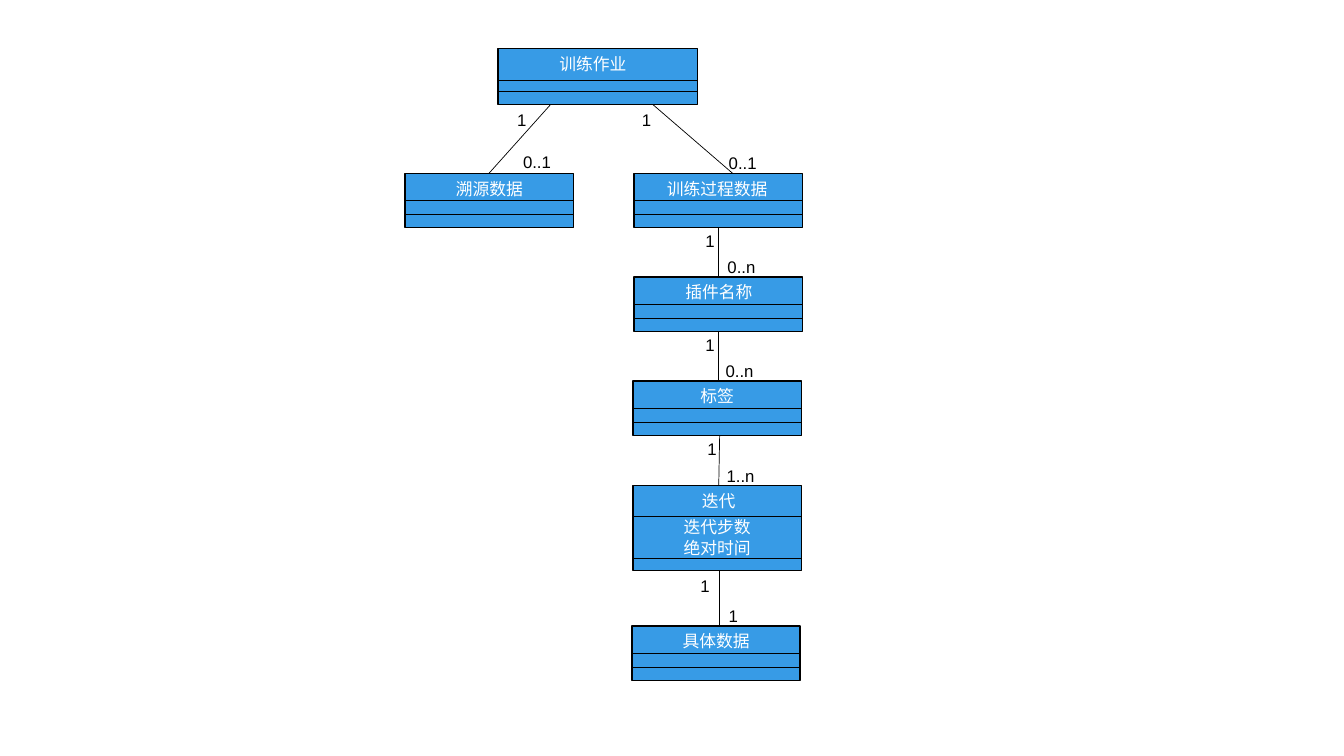
from pptx import Presentation
from pptx.dml.color import RGBColor
from pptx.enum.shapes import MSO_CONNECTOR, MSO_SHAPE
from pptx.enum.text import MSO_AUTO_SIZE, PP_ALIGN
from pptx.oxml.ns import qn
from pptx.util import Pt
from lxml import etree

COLORS = {"fill": "379BE6", "line": "000000", "label": "000000", "title": "FFFFFF"}

prs = Presentation()
prs.slide_width, prs.slide_height = Pt(960), Pt(540)
s = prs.slides.add_slide(prs.slide_layouts[6])


def add_line(x1, y1, x2, y2):
    line = s.shapes.add_connector(MSO_CONNECTOR.STRAIGHT, Pt(x1), Pt(y1), Pt(x2), Pt(y2))
    line.line.width = Pt(0.5)
    line.line.color.rgb = RGBColor.from_string(COLORS["line"])
    etree.SubElement(line._element.spPr, qn("a:effectLst"))


def add_text(lines, x, y, w, h, color, align=PP_ALIGN.LEFT):
    tf = s.shapes.add_textbox(Pt(x), Pt(y), Pt(w), Pt(h)).text_frame
    tf.word_wrap = True
    tf.auto_size = MSO_AUTO_SIZE.SHAPE_TO_FIT_TEXT
    tf.text = lines
    for p in tf.paragraphs:
        p.alignment = align
        p.font.size = Pt(12)
        p.font.name = "Arial"
        p.font.color.rgb = RGBColor.from_string(COLORS[color])


# Associations between classes
for ends in [
    (514.1, 408.2, 514.1, 455.8),
    (514.1, 308.9, 513.4, 347),
    (513.4, 234, 513.4, 272.2),
    (513.4, 159.8, 513.4, 198),
    (466.6, 74.9, 523.4, 123.9),
    (393.1, 74.9, 349.2, 123.9),
]:
    add_line(*ends)

# Classes: title, left, top, width, height, divider offsets, title left and width
DIVIDERS = (19.3, 29.4)
for title, x, y, w, h, dividers, title_x, title_w in [
    ("训练作业", 355.7, 34.6, 142.6, 39.9, (22.6, 31), 392.4, 80.6),
    ("溯源数据", 289.4, 123.8, 120.2, 38.9, DIVIDERS, 295.2, 108.7),
    ("训练过程数据", 452.9, 123.8, 120.2, 38.9, DIVIDERS, 447.1, 130.3),
    ("插件名称", 452.9, 198, 120.2, 38.9, DIVIDERS, 482.4, 70.6),
    ("标签", 452.2, 272.2, 120.2, 38.9, DIVIDERS, 457.9, 108.7),
    ("迭代", 452.2, 347, 120.2, 60.5, (21.6, 51.5), 481.7, 63.4),
    ("具体数据", 451.4, 447.1, 120.2, 38.9, DIVIDERS, 457.2, 108.7),
]:
    box = s.shapes.add_shape(MSO_SHAPE.RECTANGLE, Pt(x), Pt(y), Pt(w), Pt(h))
    box.shadow.inherit = False
    box.fill.solid()
    box.fill.fore_color.rgb = RGBColor.from_string(COLORS["fill"])
    box.line.width = Pt(1)
    box.line.color.rgb = RGBColor.from_string(COLORS["line"])
    for offset in dividers:
        add_line(x, y + offset, x + w, y + offset)
    align = PP_ALIGN.LEFT if title in ("训练作业", "插件名称") else PP_ALIGN.CENTER
    add_text(title, title_x, y, title_w, 21.8, "title", align)

add_text("迭代步数\n绝对时间", 459.4, 365.8, 105.8, 36.4, "title", PP_ALIGN.CENTER)

# Multiplicities at the association ends
for label, x, y, w in [
    ("1", 362.2, 74.9, 18),
    ("0..1", 366.5, 105.1, 42.5),
    ("1", 451.4, 74.9, 21.6),
    ("0..1", 513.4, 105.8, 39.6),
    ("1", 496.8, 161.3, 18),
    ("0..n", 512.6, 180, 46.1),
    ("1", 496.8, 235.4, 18),
    ("0..n", 511.2, 254.2, 46.1),
    ("1", 498.2, 309.6, 18),
    ("1..n", 511.9, 329, 46.1),
    ("1", 493.2, 407.5, 18),
    ("1", 513.4, 429.1, 18),
]:
    add_text(label, x, y, w, 21.8, "label")

prs.save("out.pptx")
